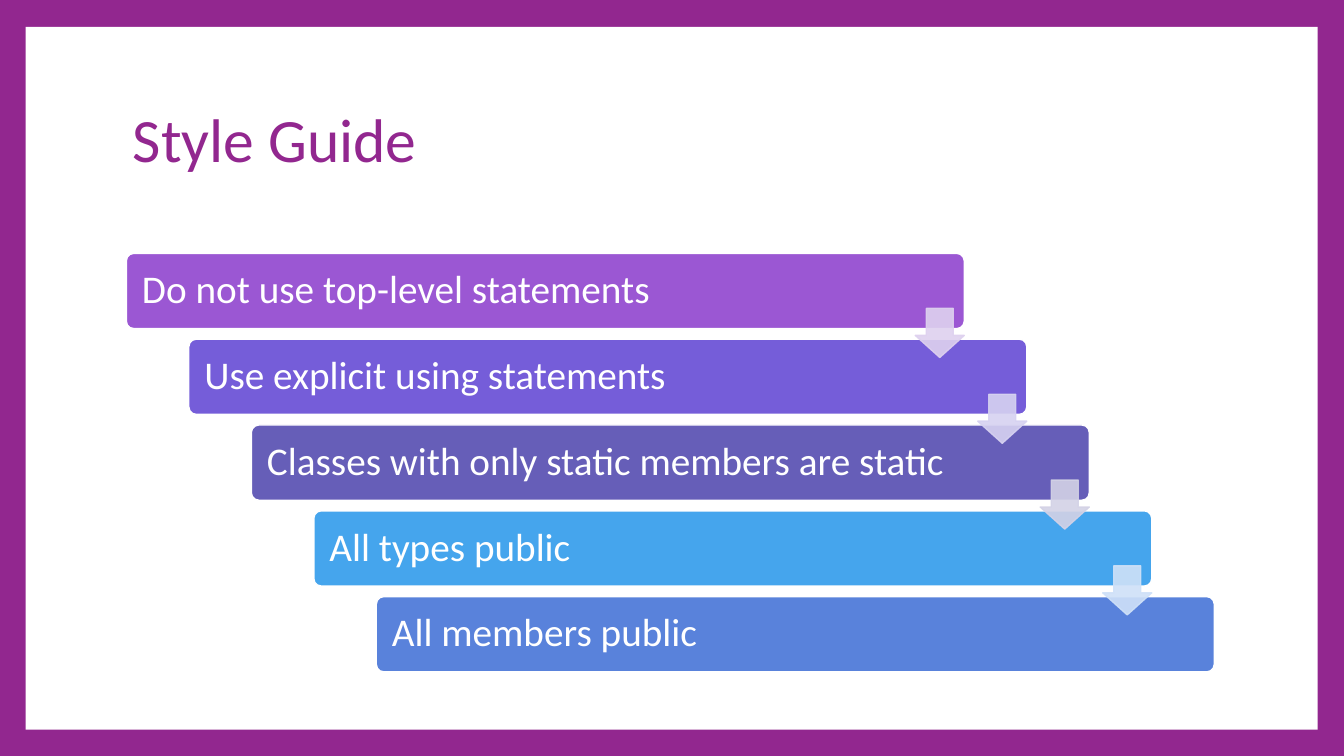
import pptx
import pptx.util
import pptx.dml.color
import pptx.enum.shapes
import pptx.enum.text
import pptx.oxml
import pptx.oxml.ns

Inches = pptx.util.Inches
Pt = pptx.util.Pt
RGBColor = pptx.dml.color.RGBColor
Shape = pptx.enum.shapes.MSO_SHAPE

PURPLE = RGBColor(0x92, 0x27, 0x8F)
WHITE = RGBColor(0xFF, 0xFF, 0xFF)
VIOLET = RGBColor(0x9B, 0x57, 0xD3)
INDIGO = RGBColor(0x75, 0x5D, 0xD9)
SLATE = RGBColor(0x66, 0x5E, 0xB8)
SKY = RGBColor(0x45, 0xA5, 0xED)
BLUE = RGBColor(0x59, 0x82, 0xDB)
PALE_VIOLET = RGBColor(0xDE, 0xD1, 0xEF)
PALE_INDIGO = RGBColor(0xD6, 0xD2, 0xF1)
PALE_SLATE = RGBColor(0xD3, 0xD2, 0xE6)
PALE_SKY = RGBColor(0xCF, 0xE1, 0xF8)

RULES = [
    ("Do not use top-level statements", VIOLET),
    ("Use explicit using statements", INDIGO),
    ("Classes with only static members are static", SLATE),
    ("All types public", SKY),
    ("All members public", BLUE),
]
ARROW_COLORS = [PALE_VIOLET, PALE_INDIGO, PALE_SLATE, PALE_SKY]
STEP_X, STEP_Y = 0.93, 1.277


class StyleGuidePage:
    """Holds the text style and the slide, and draws each kind of element."""

    font = "Calibri"
    outline = Pt(1.5)

    def __init__(self, deck):
        self.page = deck.slides.add_slide(deck.slide_layouts[6])

    def background(self, color):
        fill = self.page.background.fill
        fill.solid()
        fill.fore_color.rgb = color

    def text(self, box, words, size, color, inset):
        frame = box.text_frame
        layout = {
            "word_wrap": True,
            "vertical_anchor": pptx.enum.text.MSO_ANCHOR.MIDDLE,
            "margin_left": Inches(inset),
            "margin_right": Inches(inset),
        }
        for name, value in layout.items():
            setattr(frame, name, value)
        para = frame.paragraphs[0]
        para.alignment = pptx.enum.text.PP_ALIGN.LEFT
        para.line_spacing = 0.9
        span = para.add_run()
        span.text = words
        for name, value in {"name": self.font, "size": Pt(size)}.items():
            setattr(span.font, name, value)
        span.font.color.rgb = color

    def title(self, words, place):
        box = self.page.shapes.add_textbox(*map(Inches, place))
        self.text(box, words, 66, PURPLE, 0.1)

    def shape(self, kind, place, color, line=None, adjustments=()):
        box = self.page.shapes.add_shape(kind, *map(Inches, place))
        box.shadow.inherit = False
        box.fill.solid()
        box.fill.fore_color.rgb = color
        if line is None:
            box.line.fill.background()
        else:
            box.line.color.rgb = line
            box.line.width = self.outline
        for index, value in enumerate(adjustments):
            box.adjustments[index] = value
        return box

    def bar(self, words, place, color):
        box = self.shape(Shape.ROUNDED_RECTANGLE, place, color, WHITE, [0.1])
        self.text(box, words, 42, WHITE, 0.2)

    def arrow(self, place, color):
        box = self.shape(Shape.DOWN_ARROW, place, color, color, [0.55, 0.45])
        for tint in box._element.spPr.iter(pptx.oxml.ns.qn("a:srgbClr")):
            alpha = pptx.oxml.parse_xml(
                f'<a:alpha {pptx.oxml.ns.nsdecls("a")} val="90000"/>')
            tint.append(alpha)


def main():
    deck = pptx.Presentation()
    deck.slide_width, deck.slide_height = Inches(20), Inches(11.25)
    guide = StyleGuidePage(deck)
    guide.background(PURPLE)
    guide.shape(Shape.RECTANGLE, (0.38, 0.4, 19.23, 10.46), WHITE)
    guide.title("Style Guide", (1.88, 1, 16.2, 2.23))
    for row, (words, color) in enumerate(RULES):
        place = (1.88 + row * STEP_X, 3.77 + row * STEP_Y, 12.47, 1.12)
        guide.bar(words, place, color)
    for row, color in enumerate(ARROW_COLORS):
        place = (13.62 + row * STEP_X, 4.59 + row * STEP_Y, 0.73, 0.73)
        guide.arrow(place, color)
    deck.save("out.pptx")


if __name__ == "__main__":
    main()
